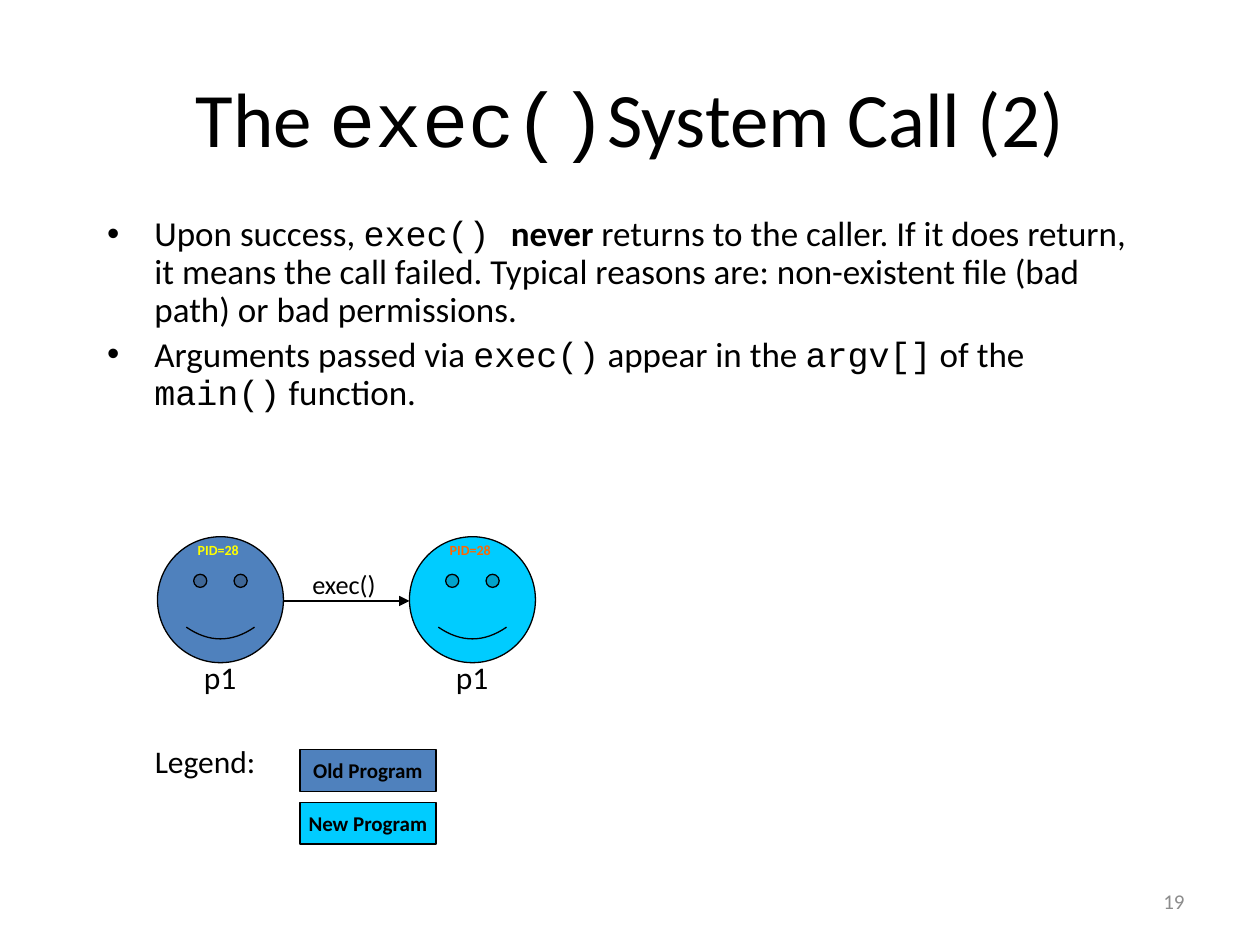
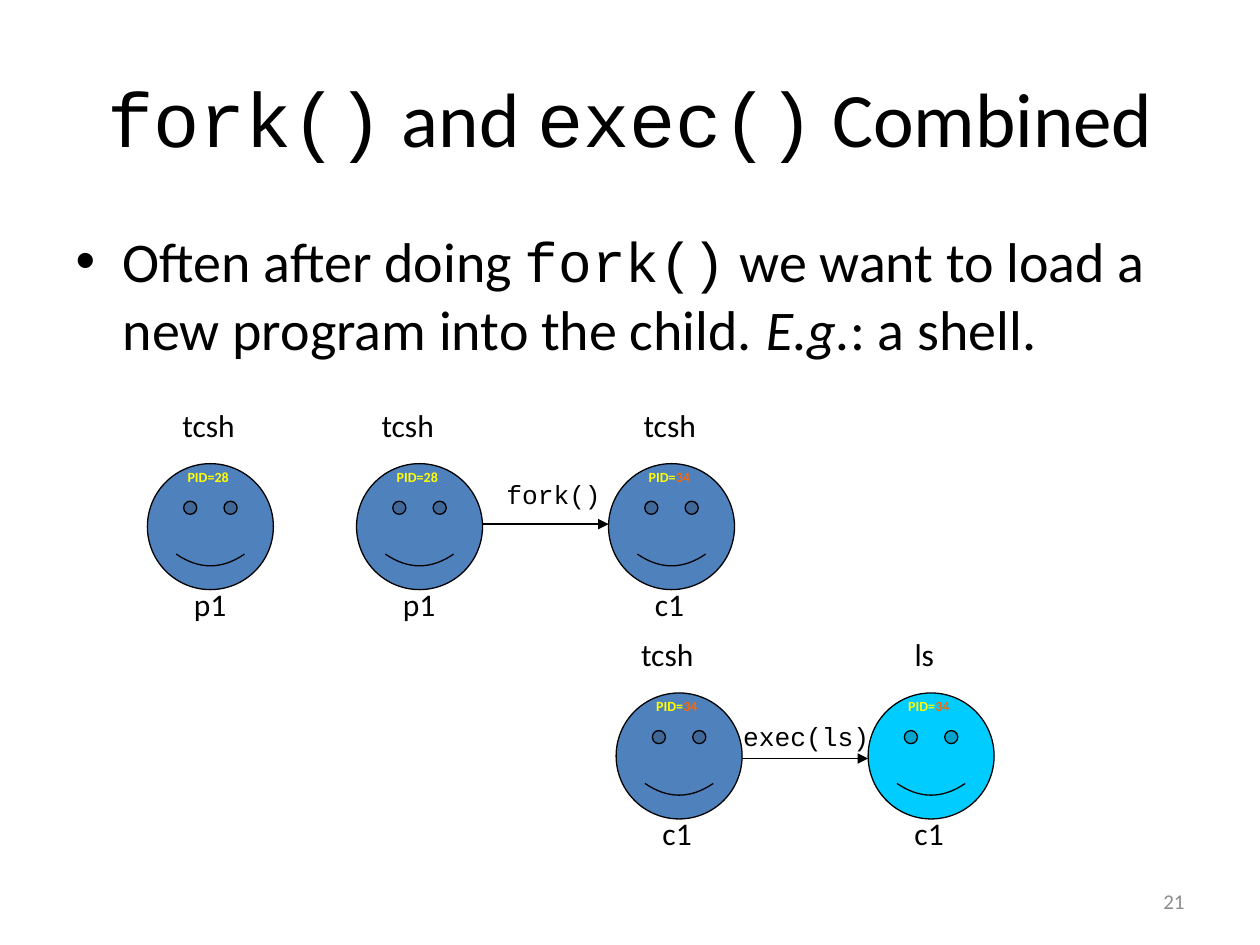
from lxml.etree import SubElement
from pptx import Presentation
from pptx.dml.color import RGBColor
from pptx.enum.shapes import MSO_CONNECTOR, MSO_SHAPE
from pptx.enum.text import MSO_ANCHOR, MSO_AUTO_SIZE, PP_ALIGN
from pptx.oxml.ns import qn
from pptx.util import Inches, Pt

BLACK = RGBColor(0x00, 0x00, 0x00)
GRAY = RGBColor(0x8C, 0x8C, 0x8C)
YELLOW = RGBColor(0xFF, 0xFF, 0x00)
ORANGE = RGBColor(0xFF, 0x66, 0x00)
OLD_PROGRAM = RGBColor(0x4F, 0x81, 0xBD)
NEW_PROGRAM = RGBColor(0x00, 0xCC, 0xFF)
SANS = "Calibri"
MONO = "Courier New"
FACE_SIZE = 1


def add_span(para, text, size, color=BLACK, font=SANS, bold=False, italic=False):
    """Append one formatted run to a paragraph."""
    span = para.add_run()
    span.text = text
    span.font.size = Pt(size)
    span.font.name = font
    span.font.color.rgb = color
    span.font.bold = bold
    span.font.italic = italic


def place(shape, left, top, width, height):
    """Move and size a shape, in inches."""
    shape.left, shape.top = Inches(left), Inches(top)
    shape.width, shape.height = Inches(width), Inches(height)


def fill_placeholder(holder, bounds, paragraphs, size, line_spacing=None):
    """Place a placeholder and write paragraphs of (text, format) spans."""
    place(holder, *bounds)
    frame = holder.text_frame
    frame.auto_size = MSO_AUTO_SIZE.NONE
    for index, spans in enumerate(paragraphs):
        para = frame.add_paragraph() if index else frame.paragraphs[0]
        para.line_spacing = line_spacing
        for text, style in spans:
            add_span(para, text, size, **style)


def add_content_slide(deck, number, title, body, bounds, size, line_spacing=None):
    """Add a slide with title, bullet list and slide number."""
    slide = deck.slides.add_slide(deck.slide_layouts[1])
    fill_placeholder(slide.shapes.title, (0.5, 0.3, 9, 1.25), [title], 44)
    fill_placeholder(slide.placeholders[1], bounds, body, size, line_spacing)
    box = add_label(slide.shapes, (7.17, 6.95, 2.33, 0.4), [(number, GRAY)], 12)
    box.text_frame.word_wrap = True
    box.text_frame.vertical_anchor = MSO_ANCHOR.MIDDLE
    box.text_frame.paragraphs[0].alignment = PP_ALIGN.RIGHT
    return slide


def add_label(shapes, bounds, spans, size, font=SANS, bold=False):
    """Add a one-line text box of (text, color) spans."""
    box = shapes.add_textbox(*map(Inches, bounds))
    box.text_frame.word_wrap = False
    for text, color in spans:
        add_span(box.text_frame.paragraphs[0], text, size, color, font, bold)
    return box


def add_outlined(shapes, preset, bounds, fill):
    """Add a filled preset shape with a thin black outline."""
    shape = shapes.add_shape(preset, *map(Inches, bounds))
    shape.shadow.inherit = False
    shape.fill.solid()
    shape.fill.fore_color.rgb = fill
    shape.line.color.rgb = BLACK
    shape.line.width = Pt(0.75)
    return shape


def add_process(slide, left, top, fill, pid, name):
    """Add a grouped process face with its PID and name."""
    shapes = slide.shapes.add_group_shape().shapes
    add_outlined(shapes, MSO_SHAPE.SMILEY_FACE, (left, top, FACE_SIZE, FACE_SIZE), fill)
    add_label(shapes, (left + 0.22, top - 0.01, 0.57, 0.23), pid, 8, bold=True)
    add_label(shapes, (left + 0.27, top + 0.91, 0.53, 0.5), [(name, BLACK)], 18)


def add_call_arrow(slide, left, y, text, bounds, font):
    """Add a labelled arrow between two neighbouring processes."""
    line = slide.shapes.add_connector(
        MSO_CONNECTOR.STRAIGHT, Inches(left), Inches(y), Inches(left + 1), Inches(y))
    line.line.color.rgb = BLACK
    line.line.width = Pt(0.75)
    SubElement(line.line._get_or_add_ln(), qn("a:tailEnd"), type="triangle")
    SubElement(line._element.spPr, qn("a:effectLst"))
    add_label(slide.shapes, bounds, [(text, BLACK)], 15, font)


def add_legend(slide):
    """Add the grouped legend of program colours."""
    shapes = slide.shapes.add_group_shape().shapes
    entries = (("Old Program", OLD_PROGRAM), ("New Program", NEW_PROGRAM))
    for row, (text, fill) in enumerate(entries):
        bounds = (2.38, 5.95 + 0.42 * row, 1.08, 0.33)
        key = add_outlined(shapes, MSO_SHAPE.RECTANGLE, bounds, fill)
        key.text_frame.word_wrap = False
        key.text_frame.vertical_anchor = MSO_ANCHOR.MIDDLE
        para = key.text_frame.paragraphs[0]
        para.alignment = PP_ALIGN.CENTER
        add_span(para, text, 12, bold=True)
    add_label(shapes, (1.13, 5.84, 1.29, 0.5), [("Legend:", BLACK)], 18)


def build_exec_slide(deck):
    """Build the slide about exec()."""
    mono = {"font": MONO}
    title = [("The ", {}), ("exec()", mono), ("System Call (2)", {})]
    body = [
        [("Upon success, ", {}), ("exec() ", mono), ("never", {"bold": True}),
         (" returns to the caller. If it does return, it means the call failed. "
          "Typical reasons are: non-existent file (bad path) or bad permissions.", {})],
        [("Arguments passed via ", {}), ("exec()", mono), (" appear in the ", {}),
         ("argv[]", mono), (" of the ", {}), ("main()", mono), (" function.", {})],
    ]
    slide = add_content_slide(deck, "19", title, body, (0.75, 1.67, 8.5, 2.5), 20, 0.9)
    add_process(slide, 1.25, 4.26, OLD_PROGRAM, [("PID=28", YELLOW)], "p1")
    add_process(slide, 3.25, 4.26, NEW_PROGRAM, [("PID=28", ORANGE)], "p1")
    add_call_arrow(slide, 2.25, 4.77, "exec()", (2.38, 4.46, 0.72, 0.35), SANS)
    add_legend(slide)


def build_combined_slide(deck):
    """Build the slide that combines fork() and exec()."""
    mono = {"font": MONO}
    title = [("fork()", mono), (" and ", {}), ("exec()", mono), (" Combined", {})]
    body = [[("Often after doing ", {}), ("fork()", mono),
             (" we want to load a new program into the child. ", {}),
             ("E.g.", {"italic": True}), (": a shell.", {})]]
    slide = add_content_slide(deck, "21", title, body, (0.5, 1.75, 9, 4.95), 32)
    parent = [("PID=28", YELLOW)]
    child = [("PID=", YELLOW), ("34", ORANGE)]
    processes = (
        (1.17, 3.68, OLD_PROGRAM, parent, "p1", "tcsh", 1.35),
        (2.83, 3.68, OLD_PROGRAM, parent, "p1", "tcsh", 2.93),
        (4.83, 3.68, OLD_PROGRAM, child, "c1", "tcsh", 5.01),
        (4.89, 5.5, OLD_PROGRAM, child, "c1", "tcsh", 4.99),
        (6.89, 5.5, NEW_PROGRAM, child, "c1", "ls", 7.16),
    )
    for left, top, fill, pid, name, program, program_left in processes:
        add_process(slide, left, top, fill, pid, name)
        width = 0.74 if program == "tcsh" else 0.42
        add_label(slide.shapes, (program_left, top - 0.51, width, 0.5),
                  [(program, BLACK)], 18)
    add_call_arrow(slide, 3.83, 4.16, "fork()", (3.92, 3.75, 0.95, 0.35), MONO)
    add_call_arrow(slide, 5.89, 6.02, "exec(ls)", (5.8, 5.67, 1.2, 0.35), MONO)


def main():
    """Build and save the deck."""
    deck = Presentation()
    deck.slide_width, deck.slide_height = Inches(10), Inches(7.5)
    build_exec_slide(deck)
    build_combined_slide(deck)
    deck.save("out.pptx")


main()
